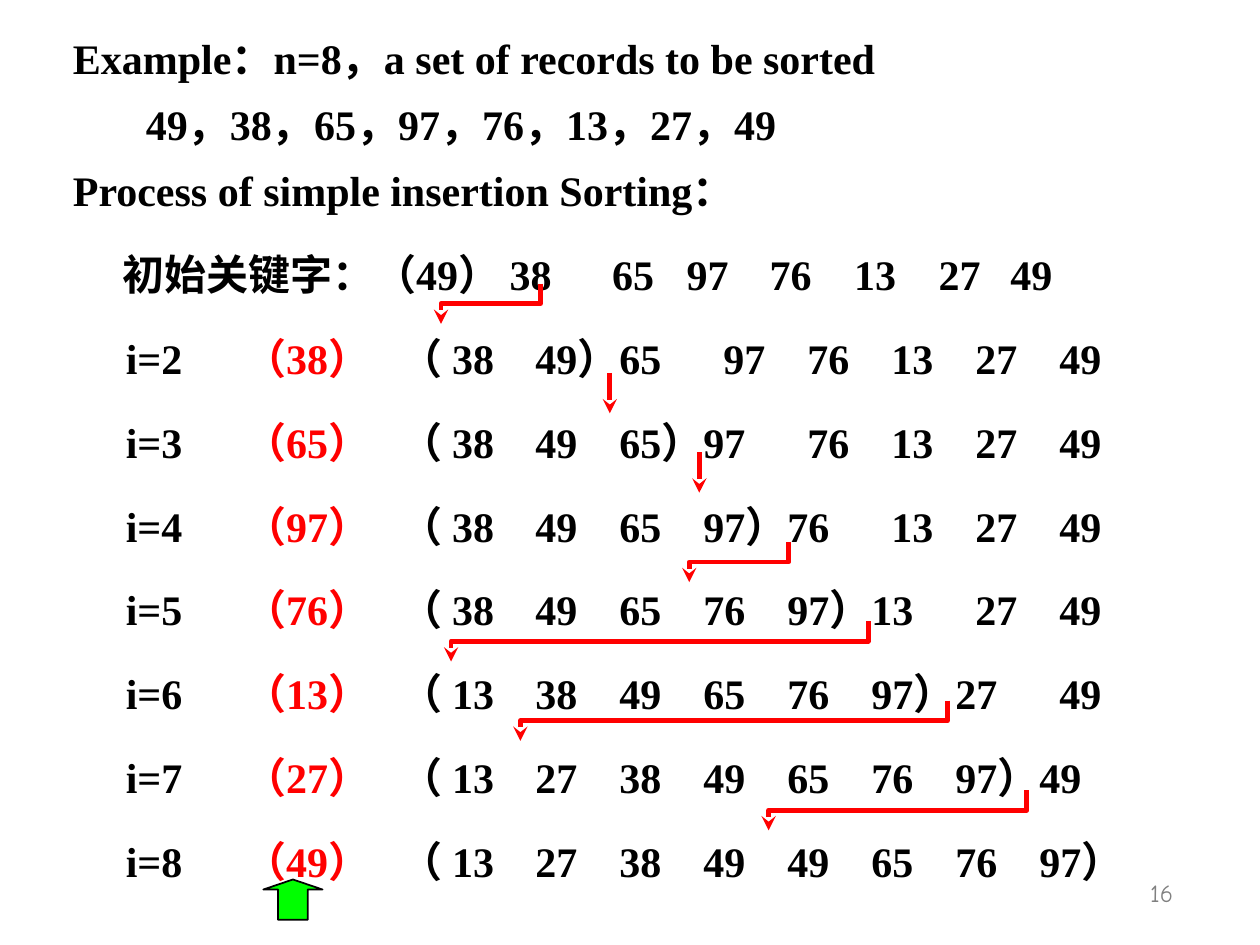
from lxml.etree import SubElement
from pptx import Presentation
from pptx.dml.color import RGBColor
from pptx.enum.shapes import MSO_CONNECTOR, MSO_SHAPE
from pptx.enum.text import MSO_ANCHOR, MSO_AUTO_SIZE, PP_ALIGN
from pptx.oxml.ns import qn
from pptx.util import Inches, Pt

BLACK, RED, GREEN, GRAY = "000000", "FF0000", "00FF00", "808080"
LABEL_TAB, KEY_TAB, GROUP_TAB = 0.42, 1.36, 2.6
SECOND_NUMBER = 3.67
PITCH = 2 / 3
BRACKET_SHIFT = 0.16

INTRO = [
    ("Example：n=8，a set of records to be sorted", []),
    ("\t49，38，65，97，76，13，27，49", [0.58]),
    ("Process of simple insertion Sorting：", []),
]
INITIAL_ROW = "\t初始关键字：（49） 38\t65\t97\t76\t13\t27\t49"
INITIAL_TABS = [0.39, 4.28, 4.87, 5.53, 6.2, 6.87, 7.44]
KEYS = [49, 38, 65, 97, 76, 13, 27, 49]

# Each elbow arrow: start x, start y, end x
ELBOWS = [
    (4.29, 2.25, 3.5),
    (6.26, 4.3, 5.47),
    (6.89, 4.93, 3.58),
    (7.52, 5.56, 4.13),
    (8.15, 6.27, 6.1),
]
STRAIGHTS = [(4.84, 2.96), (5.55, 3.59)]
ARROW_DROP = 0.32


def color(value):
    return RGBColor.from_string(value)


def add_run(paragraph, text, size, font_name, text_color, bold=False):
    run = paragraph.add_run()
    run.text = text
    run.font.size = Pt(size)
    run.font.name = font_name
    run.font.bold = bold
    run.font.color.rgb = color(text_color)


def add_tabs(paragraph, positions):
    tab_list = SubElement(paragraph._p.get_or_add_pPr(), qn("a:tabLst"))
    for position in positions:
        SubElement(tab_list, qn("a:tab"), pos=str(Inches(position)), algn="l")


def add_text_box(slide, left, top, width, height):
    box = slide.shapes.add_textbox(Inches(left), Inches(top), Inches(width), Inches(height))
    box.text_frame.word_wrap = True
    return box.text_frame


def add_line(frame, parts, tabs, line_spacing=None):
    """Add one paragraph made of (text, colour) parts."""
    is_first = not frame.paragraphs[0].runs
    paragraph = frame.paragraphs[0] if is_first else frame.add_paragraph()
    if tabs:
        add_tabs(paragraph, tabs)
    paragraph.alignment = PP_ALIGN.JUSTIFY
    paragraph.space_before = Pt(0 if is_first else 9)
    if line_spacing:
        paragraph.line_spacing = line_spacing
    for text, text_color in parts:
        add_run(paragraph, text, 24, "Times New Roman", text_color, bold=True)


def add_pass(frame, step):
    """Add the row in which the key number `step` joins the sorted group."""
    group = "\t".join(str(key) for key in sorted(KEYS[:step]))
    rest = "\t".join(str(key) for key in KEYS[step:])
    group_tabs = [SECOND_NUMBER + PITCH * i for i in range(step - 1)]
    rest_tabs = [SECOND_NUMBER + PITCH * i + BRACKET_SHIFT for i in range(step, len(KEYS) - 1)]
    parts = [
        (f"\ti={step}\t", BLACK),
        (f"（{KEYS[step - 1]}）", RED),
        (f"\t（ {group}）{rest}", BLACK),
    ]
    tabs = [LABEL_TAB, KEY_TAB, GROUP_TAB] + group_tabs + rest_tabs
    add_line(frame, parts, tabs, 1.35)


def style_arrow(shape):
    shape.line.color.rgb = color(RED)
    shape.line.width = Pt(2.75)
    SubElement(shape.line._get_or_add_ln(), qn("a:tailEnd"), type="stealth")


def add_straight_arrow(slide, x, y):
    connector = slide.shapes.add_connector(
        MSO_CONNECTOR.STRAIGHT, Inches(x), Inches(y), Inches(x), Inches(y + ARROW_DROP)
    )
    style_arrow(connector)
    SubElement(connector._element.spPr, qn("a:effectLst"))


def add_elbow_arrow(slide, start_x, start_y, end_x):
    middle = start_y + ARROW_DROP / 2
    corners = [(start_x, middle), (end_x, middle), (end_x, start_y + ARROW_DROP)]
    builder = slide.shapes.build_freeform(Inches(start_x), Inches(start_y))
    builder.add_line_segments([(Inches(x), Inches(y)) for x, y in corners], close=False)
    shape = builder.convert_to_shape()
    shape.fill.background()
    style_arrow(shape)
    shape.shadow.inherit = False


def add_up_arrow(slide):
    shape = slide.shapes.add_shape(
        MSO_SHAPE.UP_ARROW, Inches(2.09), Inches(6.98), Inches(0.47), Inches(0.32)
    )
    shape.adjustments[0] = 0.5
    shape.adjustments[1] = 0.25
    shape.fill.solid()
    shape.fill.fore_color.rgb = color(GREEN)
    shape.line.color.rgb = color(BLACK)
    shape.line.width = Pt(1)
    shape.shadow.inherit = False


def add_page_number(slide):
    frame = add_text_box(slide, 7.33, 6.75, 2.08, 0.5)
    frame.vertical_anchor = MSO_ANCHOR.BOTTOM
    paragraph = frame.paragraphs[0]
    paragraph.alignment = PP_ALIGN.RIGHT
    add_run(paragraph, "16", 14, "Comic Neue", GRAY)


def add_sorting_text(slide):
    frame = add_text_box(slide, 0.48, 0.21, 9.08, 6.87)
    frame.auto_size = MSO_AUTO_SIZE.SHAPE_TO_FIT_TEXT
    for text, tabs in INTRO:
        add_line(frame, [(text, BLACK)], tabs)
    add_line(frame, [(INITIAL_ROW, BLACK)], INITIAL_TABS, 1.35)
    for step in range(2, len(KEYS) + 1):
        add_pass(frame, step)


def main():
    presentation = Presentation()
    presentation.slide_width = Inches(10)
    presentation.slide_height = Inches(7.5)
    slide = presentation.slides.add_slide(presentation.slide_layouts[6])
    add_page_number(slide)
    add_sorting_text(slide)
    for x, y in STRAIGHTS:
        add_straight_arrow(slide, x, y)
    for elbow in ELBOWS:
        add_elbow_arrow(slide, *elbow)
    add_up_arrow(slide)
    presentation.save("out.pptx")


if __name__ == "__main__":
    main()
